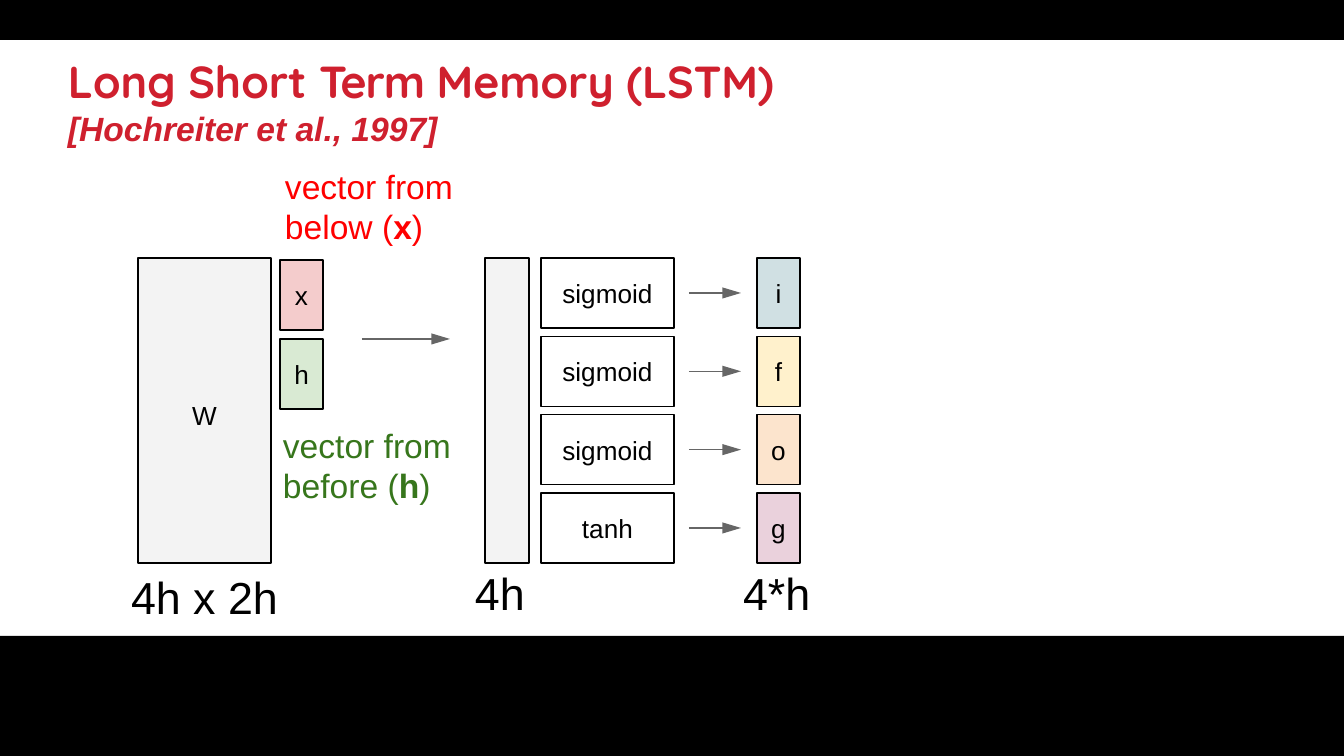
import pptx
import pptx.util
import pptx.dml.color
import pptx.enum.shapes
import pptx.enum.text
import pptx.oxml
import pptx.oxml.ns

RGBColor = pptx.dml.color.RGBColor
PX = 914400 / 134.4

BLACK = RGBColor(0x00, 0x00, 0x00)
WHITE = RGBColor(0xFF, 0xFF, 0xFF)
CRIMSON = RGBColor(0xCF, 0x20, 0x2E)
RED = RGBColor(0xFF, 0x00, 0x00)
GREEN = RGBColor(0x37, 0x76, 0x1C)
GRAY = RGBColor(0x66, 0x66, 0x66)
PALE_GRAY = RGBColor(0xF3, 0xF3, 0xF3)
PALE_RED = RGBColor(0xF4, 0xCC, 0xCC)
PALE_GREEN = RGBColor(0xD9, 0xEA, 0xD3)
PALE_BLUE = RGBColor(0xD0, 0xE0, 0xE3)
PALE_YELLOW = RGBColor(0xFF, 0xF1, 0xCC)
PALE_ORANGE = RGBColor(0xFC, 0xE4, 0xCD)
PALE_PINK = RGBColor(0xEA, 0xD1, 0xDC)

TOP, BOTTOM = 258, 563
BOX_H = 70
GATES = [("sigmoid", "i", PALE_BLUE), ("sigmoid", "f", PALE_YELLOW),
         ("sigmoid", "o", PALE_ORANGE), ("tanh", "g", PALE_PINK)]


def px(n):
    return pptx.util.Emu(round(n * PX))


def set_attrs(obj, values):
    for name, value in values.items():
        setattr(obj, name, value)


def set_frame(tf, left=0, top=0, anchor=pptx.enum.text.MSO_ANCHOR.TOP):
    set_attrs(tf, {"word_wrap": True, "vertical_anchor": anchor,
                   "auto_size": pptx.enum.text.MSO_AUTO_SIZE.NONE,
                   "margin_left": px(left), "margin_top": px(top),
                   "margin_right": 0, "margin_bottom": 0})


def add_run(p, text, size, color, spacing=0, **fmt):
    """Add a run; spacing is in hundredths of a point."""
    r = p.add_run()
    r.text = text
    set_attrs(r.font, {"name": "Arial", "size": pptx.util.Pt(size), **fmt})
    r.font.color.rgb = color
    if spacing:
        r.font._element.set("spc", str(spacing))


def add_title(s):
    title = s.shapes.title
    set_attrs(title, {"left": px(67), "top": px(51),
                      "width": px(1210), "height": px(106)})
    tf = title.text_frame
    set_frame(tf, left=1, top=3)
    name, source = tf.paragraphs[0], tf.add_paragraph()
    for p in (name, source):
        set_attrs(p, {"alignment": pptx.enum.text.PP_ALIGN.LEFT,
                      "line_spacing": 1.0, "space_before": 0})
    for text, spacing in (("Long Short ", 0), ("Term ", -60),
                          ("Memory ", 0), ("(LSTM)", -10)):
        add_run(name, text, 24, CRIMSON, spacing, name="Quicksand", bold=True)
    add_run(source, "[Hochreiter et al., 1997]", 18, CRIMSON,
            bold=True, italic=True)


def add_box(s, left, top, width, height, fill, text="", text_top=0):
    sp = s.shapes.add_shape(pptx.enum.shapes.MSO_SHAPE.RECTANGLE,
                            px(left), px(top), px(width), px(height))
    sp.shadow.inherit = False
    sp.fill.solid()
    sp.fill.fore_color.rgb = fill
    sp.line.color.rgb = BLACK
    sp.line.width = pptx.util.Pt(0.75)
    if text:
        tf = sp.text_frame
        set_frame(tf, top=text_top, anchor=pptx.enum.text.MSO_ANCHOR.MIDDLE)
        p = tf.paragraphs[0]
        p.alignment = pptx.enum.text.PP_ALIGN.CENTER
        add_run(p, text, 14, BLACK)
    return sp


def add_bar(s, top, height):
    bar = add_box(s, 0, top, 1344, height, BLACK)
    bar.line.fill.background()


def add_text(s, left, top, width, height):
    """Add an empty text box and return its paragraph."""
    tf = s.shapes.add_textbox(px(left), px(top), px(width), px(height)).text_frame
    set_frame(tf, left=1, top=3)
    return tf.paragraphs[0]


def add_vector_note(s, left, top, words, symbol, color):
    p = add_text(s, left, top, 172, 85)
    add_run(p, words + " (", 18, color)
    add_run(p, symbol, 18, color, bold=True)
    add_run(p, ")", 18, color)


def add_arrow(s, x1, x2, y):
    line = s.shapes.add_connector(pptx.enum.shapes.MSO_CONNECTOR.STRAIGHT,
                                  px(x1), px(y), px(x2), px(y))
    line.line.color.rgb = GRAY
    line.line.width = pptx.util.Pt(0.75)
    ns = pptx.oxml.ns.nsdecls("a")
    line.line._get_or_add_ln().append(pptx.oxml.parse_xml(
        f'<a:tailEnd {ns} type="triangle" w="med" len="lg"/>'))
    line._element.spPr.append(pptx.oxml.parse_xml(f"<a:effectLst {ns}/>"))


def add_gates(s):
    pitch = (BOTTOM - TOP - BOX_H) / (len(GATES) - 1)
    for row, (function, gate, fill) in enumerate(GATES):
        top = TOP + row * pitch
        add_box(s, 541, top, 133, BOX_H, WHITE, function)
        add_arrow(s, 689, 741, top + BOX_H / 2)
        add_box(s, 757, top, 43, BOX_H, fill, gate)


def main():
    prs = pptx.Presentation()
    prs.slide_width, prs.slide_height = px(1344), px(756)
    s = prs.slides.add_slide(prs.slide_layouts[5])
    add_bar(s, 0, 40)
    add_bar(s, 636, 120)
    add_title(s)

    add_box(s, 138, TOP, 133, BOTTOM - TOP, PALE_GRAY, "W", text_top=10)
    add_box(s, 280, 260, 43, BOX_H, PALE_RED, "x")
    add_box(s, 280, 339, 43, BOX_H, PALE_GREEN, "h")
    add_vector_note(s, 284, 163, "vector from below", "x", RED)
    add_vector_note(s, 282, 422, "vector from before", "h", GREEN)
    add_arrow(s, 362, 450, 339)
    add_box(s, 485, TOP, 44, BOTTOM - TOP, PALE_GRAY)
    add_gates(s)

    for text, left, top, width in (("4h x 2h", 130, 567, 152),
                                   ("4h", 474, 563, 56),
                                   ("4*h", 742, 563, 74)):
        add_run(add_text(s, left, top, width, 58), text, 24, BLACK)
    prs.save("out.pptx")


if __name__ == "__main__":
    main()
